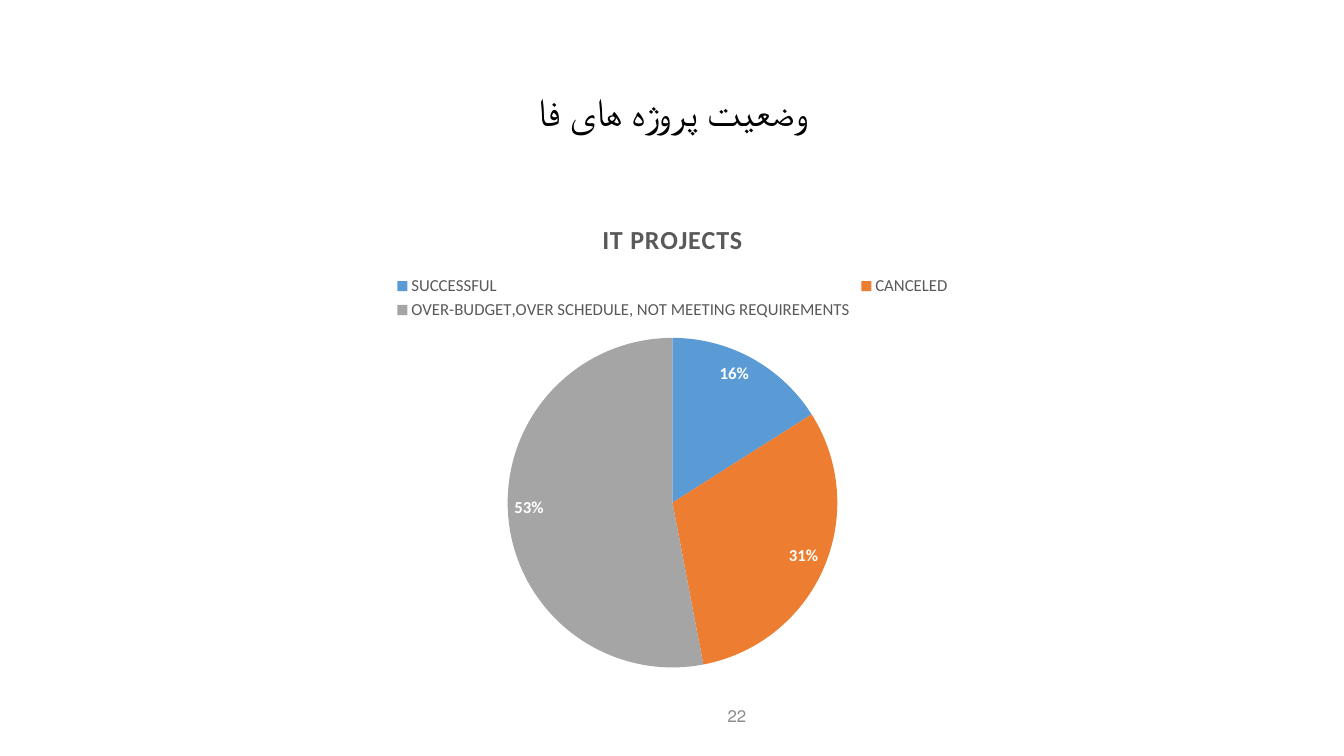
from dataclasses import dataclass
from pptx import Presentation
from pptx.chart.data import CategoryChartData as Data
from pptx.dml.color import RGBColor as RGB
from pptx.enum.chart import XL_CHART_TYPE as Kind, XL_LABEL_POSITION as Spot, XL_LEGEND_POSITION as Side
from pptx.enum.text import MSO_ANCHOR as Anchor, PP_ALIGN as Align
from pptx.util import Inches, Pt


@dataclass(frozen=True)
class Theme:
    """Colours, font and type sizes of the slide."""
    face: str = "Calibri"
    ink: str = "000000"
    gray: str = "595959"
    pale: str = "8C8C8C"
    white: str = "FFFFFF"
    wedges: tuple = ("5B9BD5", "ED7D31", "A5A5A5")
    head: float = 28
    label: float = 18.6
    note: float = 12
    base: float = 10


THEME = Theme()


def style(font, size, color, bold=False):
    """Give a font its face, size, weight and colour."""
    for key, val in {"name": THEME.face, "size": Pt(size), "bold": bold}.items():
        setattr(font, key, val)
    font.color.rgb = RGB.from_string(color)


def place(shape, box):
    """Move a shape to a box given in inches."""
    for key, val in zip(("left", "top", "width", "height"), box):
        setattr(shape, key, Inches(val))


def write(shape, text, size, color, align):
    """Fill a shape with one right-to-left paragraph."""
    frame = shape.text_frame
    frame.word_wrap = True
    frame.vertical_anchor = Anchor.MIDDLE
    para = frame.paragraphs[0]
    para.alignment = align
    para._p.get_or_add_pPr().set("rtl", "1")
    run = para.add_run()
    run.text = text
    style(run.font, size, color)
    return para


def add_head(slide, box):
    """Place the slide title."""
    title = slide.shapes.title
    place(title, box)
    para = write(title, "وضعیت پروژه های فا", THEME.head, THEME.ink, Align.CENTER)
    para.line_spacing = 0.9


def add_pie(slide, box):
    """Place the pie chart with its title, legend and labels."""
    data = Data()
    data.categories = ["SUCCESSFUL", "CANCELED",
                       "OVER-BUDGET,OVER SCHEDULE, NOT MEETING REQUIREMENTS"]
    data.add_series("IT PROJECTS", (16, 31, 53))
    chart = slide.shapes.add_chart(Kind.PIE, *map(Inches, box), data).chart
    style(chart.font, THEME.base, THEME.ink)

    chart.has_title = True
    run = chart.chart_title.text_frame.paragraphs[0].add_run()
    run.text = "IT PROJECTS"
    style(run.font, THEME.label, THEME.gray, True)
    run._r.get_or_add_rPr().set("spc", "50")

    chart.has_legend = True
    chart.legend.position = Side.TOP
    chart.legend.include_in_layout = False
    style(chart.legend.font, THEME.note, THEME.gray)

    plot = chart.plots[0]
    plot.vary_by_categories = True
    series = plot.series[0]
    for i, color in enumerate(THEME.wedges):
        fill = series.points[i].format.fill
        fill.solid()
        fill.fore_color.rgb = RGB.from_string(color)

    labels = series.data_labels
    looks = {"show_percentage": True, "show_value": False, "number_format": "0%",
             "number_format_is_linked": False, "position": Spot.INSIDE_END}
    for key, val in looks.items():
        setattr(labels, key, val)
    style(labels.font, THEME.note, THEME.white, True)


def add_page(slide, box):
    """Place the page number."""
    page = slide.shapes.add_textbox(*map(Inches, box))
    write(page, "22", THEME.note, THEME.pale, Align.RIGHT)


def main():
    """Build the slide and save it."""
    deck = Presentation()
    deck.slide_width, deck.slide_height = Inches(13.33), Inches(7.5)
    slide = deck.slides.add_slide(deck.slide_layouts[5])
    add_head(slide, (0.92, 0.4, 11.5, 1.45))
    add_pie(slide, (0.92, 2, 11.5, 4.76))
    add_page(slide, (4.5, 6.9, 3, 0.4))
    deck.save("out.pptx")


if __name__ == "__main__":
    main()
